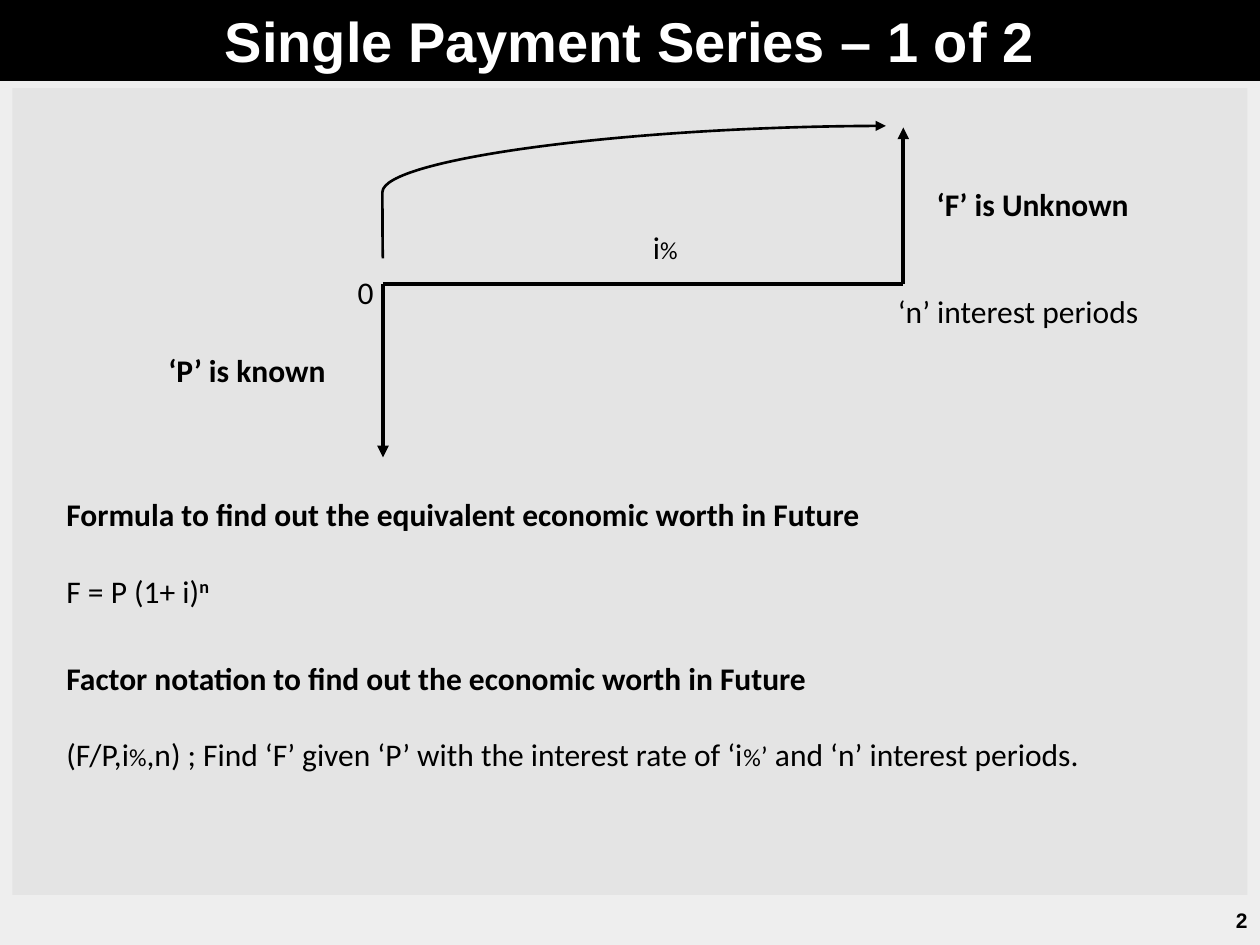
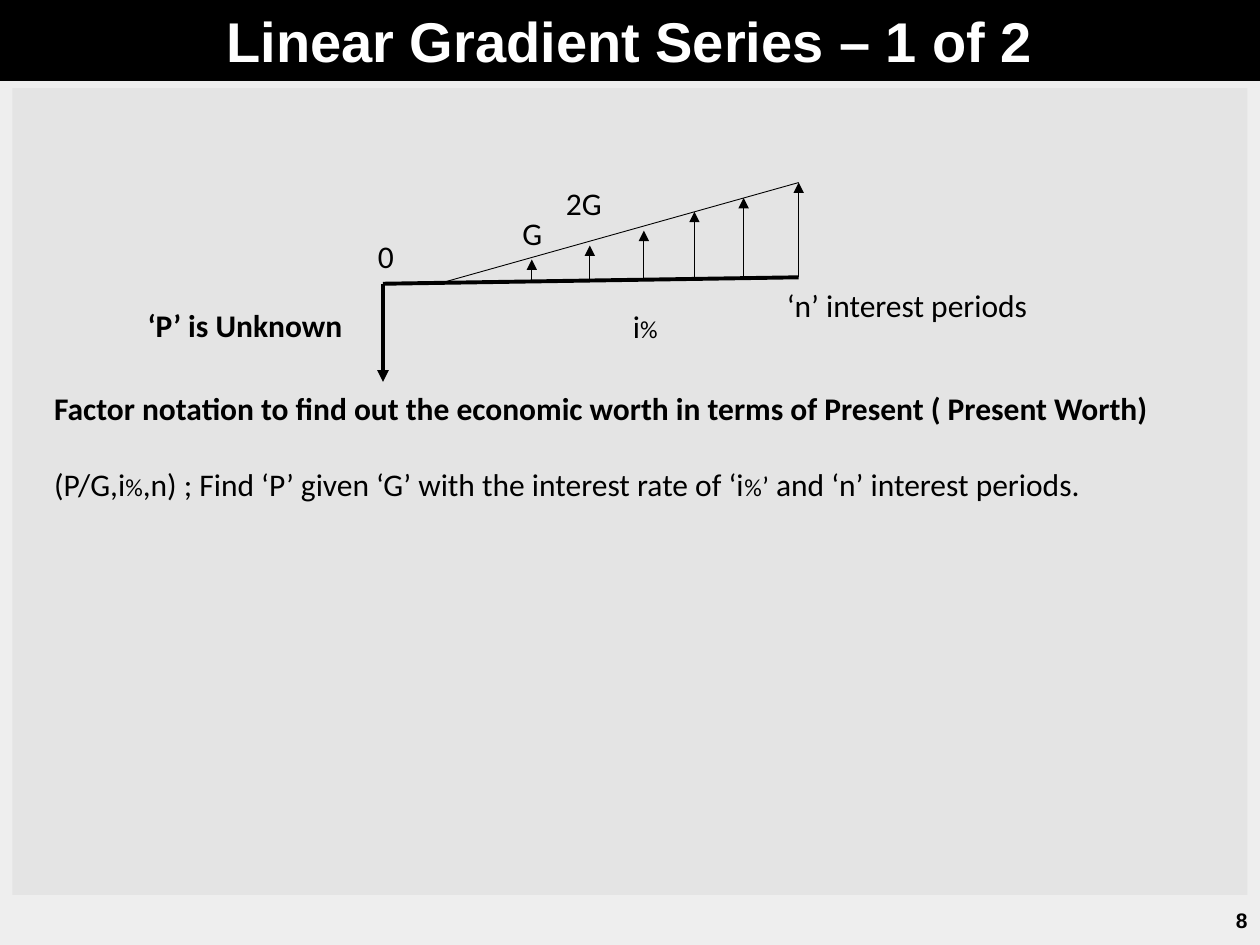
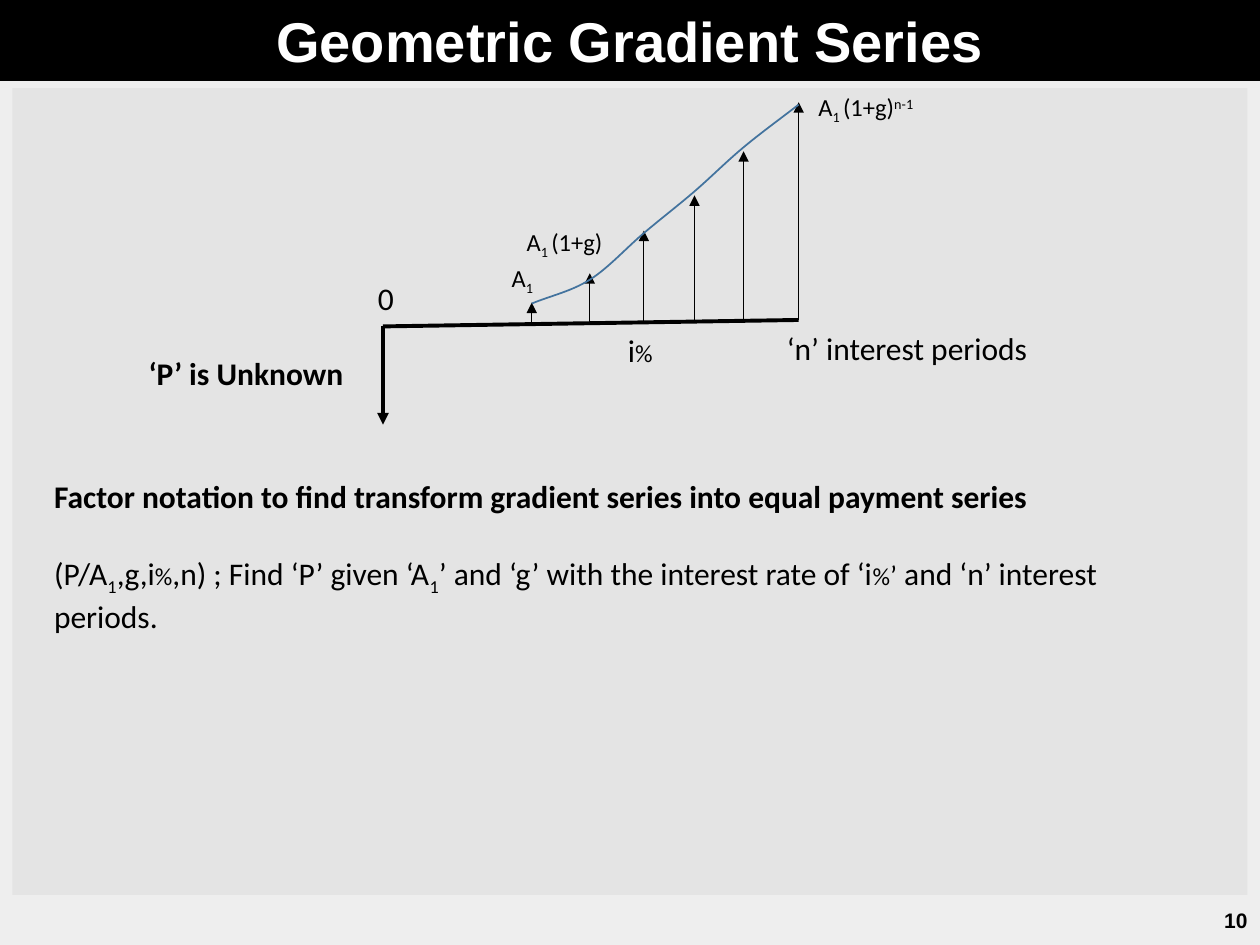
from dataclasses import dataclass

from lxml import etree
from pptx import Presentation
from pptx.dml.color import RGBColor
from pptx.enum.shapes import MSO_CONNECTOR, MSO_SHAPE
from pptx.enum.text import MSO_ANCHOR, MSO_AUTO_SIZE, PP_ALIGN
from pptx.oxml.ns import qn
from pptx.util import Cm, Pt

LEFT, MID, RIGHT = PP_ALIGN.LEFT, PP_ALIGN.CENTER, PP_ALIGN.RIGHT
TOP, CENTRE = MSO_ANCHOR.TOP, MSO_ANCHOR.MIDDLE
GROW = MSO_AUTO_SIZE.SHAPE_TO_FIT_TEXT
STRAIGHT, CURVE = MSO_CONNECTOR.STRAIGHT, MSO_CONNECTOR.CURVE
RECT = MSO_SHAPE.RECTANGLE


@dataclass
class Theme:
    black: RGBColor = RGBColor(0x00, 0x00, 0x00)
    white: RGBColor = RGBColor(0xFF, 0xFF, 0xFF)
    panel: RGBColor = RGBColor(0xE4, 0xE4, 0xE4)
    start: RGBColor = RGBColor(0xEE, 0xEE, 0xEE)
    end: RGBColor = RGBColor(0xF0, 0xF0, 0xF0)
    blue: RGBColor = RGBColor(0x43, 0x73, 0x9E)
    head: str = "Arial"
    body: str = "Calibri"
    title: int = 32
    text: int = 18
    quote: int = 16
    small: int = 14
    page: int = 12
    gap: int = 22
    thick: float = 2.25
    bend: float = 1.5
    thin: float = 0.5


T = Theme()
SIZES = {"%": T.small, "q": T.quote}
SHIFTS = {"_": "-25000", "^": "30000"}


def write(shape, paras, size=T.text, align=MID, font=T.body, color=T.black):
    """Fill a shape with paragraphs, each a list of (text, marks).

    Marks: b bold, % percent sign, q quote mark, _ subscript, ^ superscript.
    """
    frame = shape.text_frame
    frame.word_wrap = True
    for num, runs in enumerate(paras):
        para = frame.add_paragraph() if num else frame.paragraphs[0]
        para.alignment = align
        if num:
            para.space_before = Pt(T.gap)
        for text, marks in runs:
            run = para.add_run()
            run.text = text
            run.font.name = font
            run.font.color.rgb = color
            run.font.bold = "b" in marks
            run.font.size = Pt(size)
            for mark in marks:
                if mark in SIZES:
                    run.font.size = Pt(SIZES[mark])
                if mark in SHIFTS:
                    run.font._element.set("baseline", SHIFTS[mark])


def draw(slide, ends, width, arrow=False, kind=STRAIGHT):
    """Draw a black line, with an arrowhead at its end if asked."""
    line = slide.shapes.add_connector(kind, *[Cm(v) for v in ends])
    line.line.color.rgb = T.black
    line.line.width = Pt(width)
    props = line.element.spPr
    if arrow:
        etree.SubElement(props.find(qn("a:ln")), qn("a:tailEnd"), type="triangle")
    etree.SubElement(props, qn("a:effectLst"))
    return line


# Wording used on several slides
RATE = [("i", ""), ("%", "%")]
ASK = [("%", "%"), ("’", "q"), (" and ‘n’ interest periods.", "")]
TERM = [("‘n’ interest periods", "")]
ZERO = [("0", "")]
GROWTH = [("A", ""), ("1 ", "_"), ("(1+g)", "")]

# Labels: left, top, width, runs, size, alignment
# Notes: left, top, width, height, paragraphs
PAGES = [
    dict(
        title="Single Payment Series – 1 of 2", page="2",
        labels=[
            (2.87, 6.96, 4.22, [("‘P’ is known", "b")], T.text, MID),
            (18.57, 3.61, 4.5, [("‘F’ is Unknown", "b")], T.text, MID),
            (11.3, 4.47, 4.22, RATE, T.text, MID),
            (17.45, 5.77, 6.15, TERM, T.text, MID),
            (6.96, 5.38, 1.32, ZERO, T.text, LEFT),
        ],
        notes=[
            (1.09, 9.86, 18.03, 2.57, [
                [("Formula to find out the equivalent economic worth in Future", "b")],
                [("F = P (1+ i)", ""), ("n", "b^")],
            ]),
            (1.09, 13.16, 23.75, 2.57, [
                [("Factor notation to find out the economic worth in Future", "b")],
                [("(F/P,i", ""), ("%", "%"),
                 (",n) ; Find ‘F’ given ‘P’ with the interest rate of ‘i", "")] + ASK,
            ]),
        ],
    ),
    dict(
        title="Linear Gradient Series – 1 of 2", page="8",
        base=5.72, tops=[5.23, 4.95, 4.65, 4.27, 3.99, 3.68],
        labels=[
            (2.44, 6.05, 5, [("‘P’ is Unknown", "b")], T.text, MID),
            (10.9, 6.07, 4.22, RATE, T.text, MID),
            (9.98, 4.19, 1.5, [("G", "")], T.text, MID),
            (11.02, 3.58, 1.5, [("2G", "")], T.text, MID),
        ],
        notes=[
            (0.84, 7.72, 23.75, 2.57, [
                [("Factor notation to find out the economic worth in terms of "
                  "Present ( Present Worth)", "b")],
                [("(P/G,i", ""), ("%", "%"),
                 (",n) ; Find ‘P’ given ‘G’ with the interest rate of ‘i", "")] + ASK,
            ]),
        ],
    ),
    dict(
        title="Geometric Gradient Series", page="10",
        base=6.58, tops=[6.1, 5.51, 4.65, 3.94, 3.05, 2.06],
        labels=[
            (2.46, 7.01, 5, [("‘P’ is Unknown", "b")], T.text, MID),
            (10.8, 6.55, 4.22, RATE, T.text, MID),
            (9.78, 5.18, 1.5, [("A", ""), ("1", "_")], T.small, MID),
            (10.29, 4.45, 2.18, GROWTH, T.small, MID),
            (15.65, 1.73, 3.61, GROWTH + [("n-1", "^")], T.small, MID),
        ],
        notes=[
            (0.84, 9.5, 23.75, 3.33, [
                [("Factor notation to find transform gradient series into "
                  "equal payment series", "b")],
                [("(P/A", ""), ("1", "_"), (",g,i", ""), ("%", "%"),
                 (",n) ; Find ‘P’ given ‘A", ""), ("1", "_"),
                 ("’ and ‘g’ with the interest rate of ‘i", "")] + ASK,
            ]),
        ],
    ),
]

# Cash flow axis
ZERO_X, END_X, RISE = 7.72, 16.1, 0.13
TICKS = [10.72, 11.89, 12.98, 14, 14.99, END_X]

deck = Presentation()
deck.slide_width, deck.slide_height = Cm(25.4), Cm(19.05)
slides = []

for page in PAGES:
    slide = deck.slides.add_slide(deck.slide_layouts[6])
    slides.append(slide)

    # Background, panel and title band
    fill = slide.background.fill
    fill.gradient()
    fill.gradient_angle = 0
    for stop, color, place in zip(fill.gradient_stops, (T.start, T.end), (0, 0.59)):
        stop.color.rgb = color
        stop.position = place
    for box, color in (((0.25, 1.78, 24.9, 16.26), T.panel),
                       ((0, 0, 25.4, 1.63), T.black)):
        band = slide.shapes.add_shape(RECT, *[Cm(v) for v in box])
        band.shadow.inherit = False
        band.fill.solid()
        band.fill.fore_color.rgb = color
        band.line.fill.background()
    band.text_frame.vertical_anchor = TOP
    write(band, [[(page["title"], "b")]], T.title, MID, T.head, T.white)

    # Page number
    foot = slide.shapes.add_textbox(Cm(19.69), Cm(18.03), Cm(5.71), Cm(1.02))
    foot.text_frame.vertical_anchor = CENTRE
    write(foot, [[(page["page"], "b")]], T.page, RIGHT, T.head)

    # Axis, present worth and rising payments
    labels = list(page["labels"])
    if "base" in page:
        base = page["base"]
        draw(slide, (ZERO_X, base, END_X, base - RISE), T.thick)
        draw(slide, (ZERO_X, base, ZERO_X, base + 1.98), T.thick, True)
        for x, top in zip(TICKS, page["tops"]):
            foot_y = base - RISE * (x - ZERO_X) / (END_X - ZERO_X)
            draw(slide, (x, foot_y, x, top), T.thin, True)
        labels += [(7.37, base - 1.07, 1.32, ZERO, T.text, LEFT),
                   (15.21, base - 0.08, 6.15, TERM, T.text, MID)]

    # Labels and notes
    for left, top, width, runs, size, align in labels:
        box = slide.shapes.add_textbox(Cm(left), Cm(top), Cm(width), Cm(1.02))
        write(box, [runs], size, align)
        box.text_frame.auto_size = GROW
    for left, top, width, height, paras in page["notes"]:
        box = slide.shapes.add_textbox(Cm(left), Cm(top), Cm(width), Cm(height))
        write(box, paras, align=LEFT)
        box.text_frame.auto_size = GROW

single, linear, geo = slides

# Single payment: axis, P, F and the curved arrow between them
draw(single, (ZERO_X, 5.72, 18.21, 5.72), T.thick)
draw(single, (ZERO_X, 5.72, ZERO_X, 9.22), T.thick, True)
draw(single, (18.21, 5.72, 18.21, 2.57), T.thick, True)
arc = draw(single, (ZERO_X, 5.21, 17.86, 2.54), T.bend, True, CURVE)
geom = arc.element.spPr.find(qn("a:prstGeom"))
guides = geom.find(qn("a:avLst"))
if guides is None:
    guides = etree.SubElement(geom, qn("a:avLst"))
etree.SubElement(guides, qn("a:gd"), name="adj1", fmla="val -100")

# Linear gradient: slope over the arrows
draw(linear, (8.94, 5.69, END_X, 3.68), T.thin)

# Geometric gradient: smooth curve through the knots
knots = list(zip(TICKS, [6.12, 5.64, 4.7, 3.86, 2.97, 2.11]))
first = tuple(2 * a - b for a, b in zip(knots[0], knots[1]))
last = tuple(2 * a - b for a, b in zip(knots[-1], knots[-2]))
chain = [first] + knots + [last]
points = []
for p, q, r, s in zip(chain, chain[1:], chain[2:], chain[3:]):
    points.append([b + (c - a) / 6 for a, b, c in zip(p, q, r)])
    points.append([c - (d - b) / 6 for b, c, d in zip(q, r, s)])
    points.append(r)
pen = geo.shapes.build_freeform(Cm(knots[0][0]), Cm(knots[0][1]))
pen.add_line_segments([(Cm(x), Cm(y)) for x, y in points], close=False)
curve = pen.convert_to_shape()
curve.shadow.inherit = False
curve.fill.background()
curve.line.color.rgb = T.blue
curve.line.width = Pt(1)
steps = list(curve.element.iter(qn("a:lnTo")))
for num in range(0, len(steps), 3):
    bend = etree.SubElement(steps[0].getparent() if num == 0 else trace, qn("a:cubicBezTo"))
    trace = bend.getparent()
    for step in steps[num:num + 3]:
        bend.append(step[0])
        trace.remove(step)

deck.save("out.pptx")
